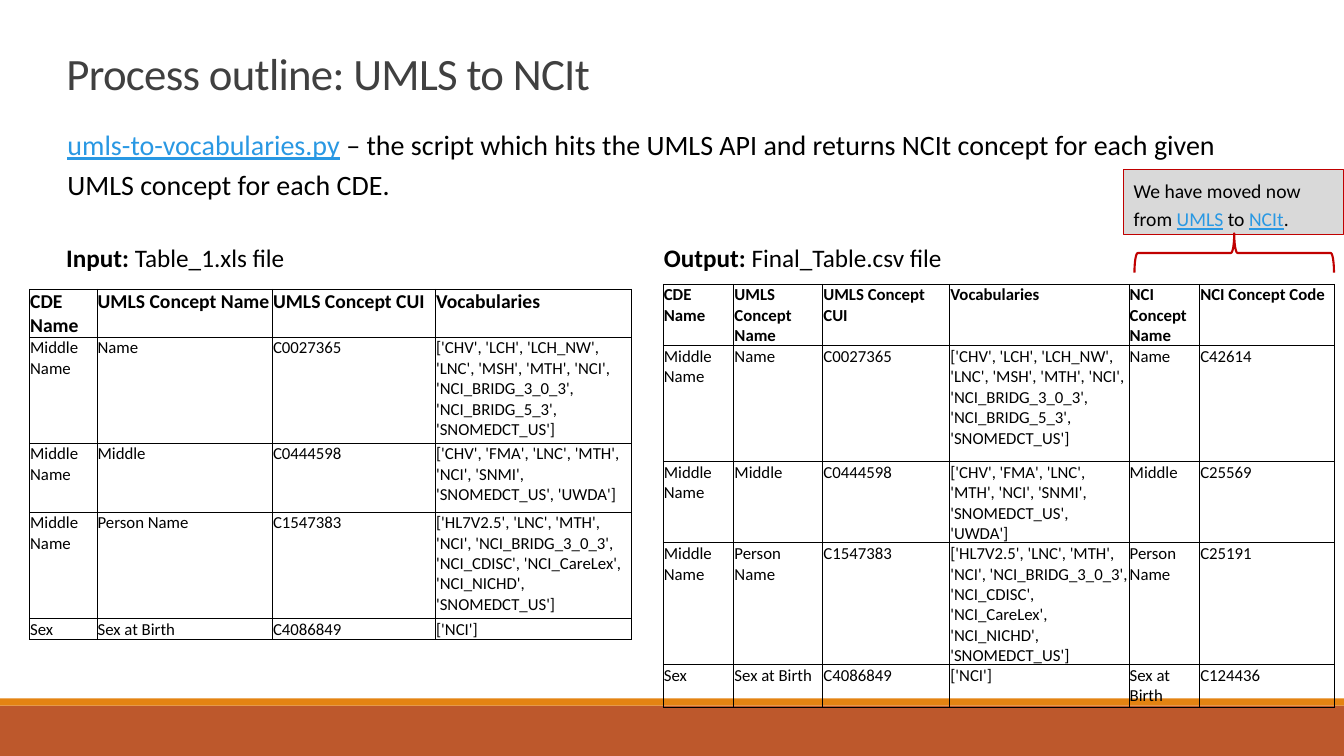
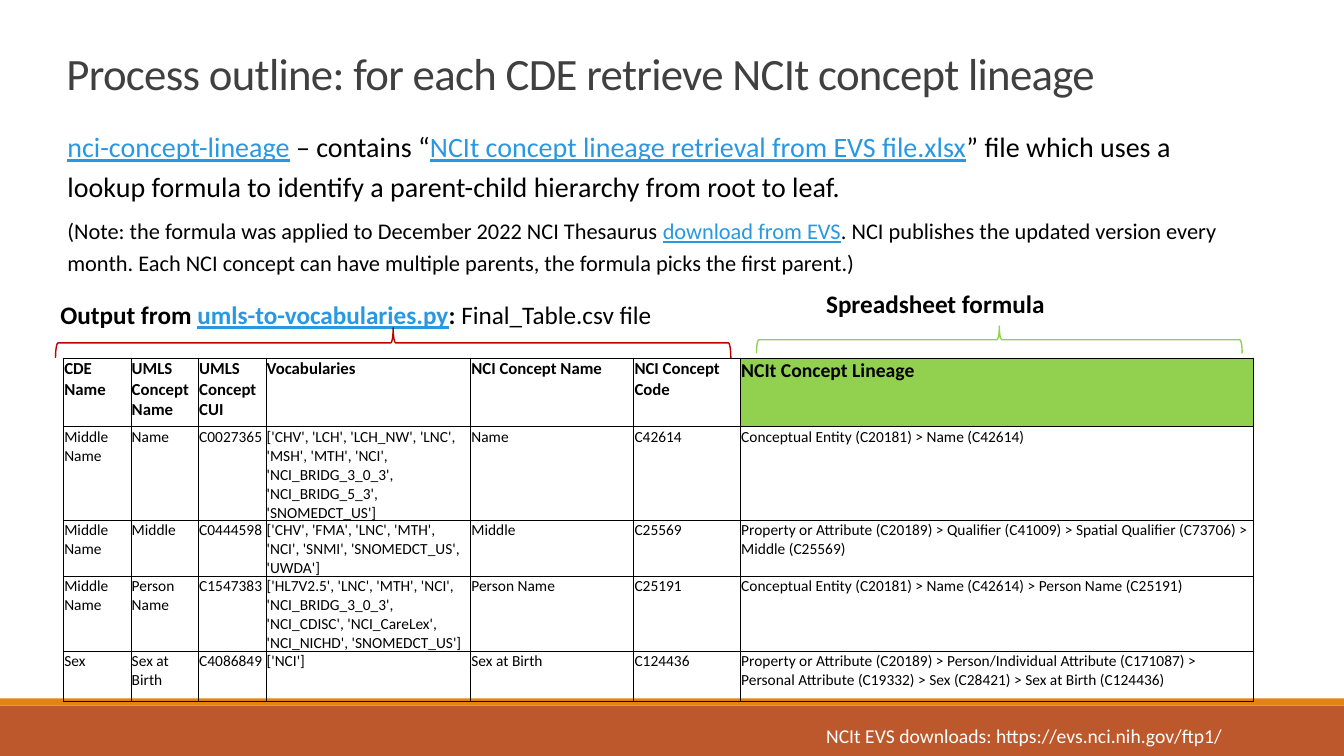
"""Build two slides on the way from UMLS concepts to NCIt concept lineage."""
from lxml.etree import SubElement
from pptx import Presentation
from pptx.dml.color import RGBColor as RGB
from pptx.enum.shapes import MSO_SHAPE as SHAPE
from pptx.enum.text import MSO_ANCHOR as ANCHOR, MSO_AUTO_SIZE as AUTO, PP_ALIGN as ALIGN
from pptx.oxml.ns import qn
from pptx.util import Cm, Pt

FONT = "Calibri"
HUE = {
    "text": "000000", "title": "404040", "link": "2998E3", "white": "FFFFFF",
    "band": "BD582C", "strip": "E48312", "red": "C00000", "green": "92D050", "grey": "D9D9D9",
}
HEADS = ["CDE Name", "UMLS Concept Name", "UMLS Concept CUI", "Vocabularies",
         "NCI Concept Name", "NCI Concept Code", "NCIt Concept Lineage"]
ROWS = [
    ["Middle Name", "Name", "C0027365",
     "['CHV', 'LCH', 'LCH_NW', 'LNC', 'MSH', 'MTH', 'NCI', 'NCI_BRIDG_3_0_3', 'NCI_BRIDG_5_3', 'SNOMEDCT_US']",
     "Name", "C42614", "Conceptual Entity (C20181) > Name (C42614)"],
    ["Middle Name", "Middle", "C0444598",
     "['CHV', 'FMA', 'LNC', 'MTH', 'NCI', 'SNMI', 'SNOMEDCT_US', 'UWDA']",
     "Middle", "C25569",
     "Property or Attribute (C20189) > Qualifier (C41009) > Spatial Qualifier (C73706) > Middle (C25569)"],
    ["Middle Name", "Person Name", "C1547383",
     "['HL7V2.5', 'LNC', 'MTH', 'NCI', 'NCI_BRIDG_3_0_3', 'NCI_CDISC', 'NCI_CareLex', 'NCI_NICHD', 'SNOMEDCT_US']",
     "Person Name", "C25191",
     "Conceptual Entity (C20181) > Name (C42614) > Person Name (C25191)"],
    ["Sex", "Sex at Birth", "C4086849", "['NCI']", "Sex at Birth", "C124436",
     "Property or Attribute (C20189) > Person/Individual Attribute (C171087) > "
     "Personal Attribute (C19332) > Sex (C28421) > Sex at Birth (C124436)"],
]


def note(slide, at, paras, hue="text", fill=None, lead=None, left=0.25):
    """Add a text box; each paragraph is a size and runs marked b (bold) or u (link)."""
    box = slide.shapes.add_textbox(*map(Cm, at))
    if fill:
        box.fill.solid()
        box.fill.fore_color.rgb = RGB.from_string(HUE[fill])
    frame = box.text_frame
    frame.word_wrap = True
    frame.margin_left = Cm(left)
    for i, (size, runs) in enumerate(paras):
        para = frame.add_paragraph() if i else frame.paragraphs[0]
        if lead:
            para.line_spacing, para.space_after = lead, Pt(6)
        for words, mark in runs:
            run = para.add_run()
            run.text = words
            font = run.font
            font.name, font.size, font.bold = FONT, Pt(size), "b" in mark
            font.underline = "u" in mark
            font.color.rgb = RGB.from_string(HUE["link" if "u" in mark else hue])
    return box


def grid(slide, left, top, wide, high, head, body):
    """Add a bordered table with as many of the shared columns as there are widths."""
    data = [HEADS] + ROWS
    table = slide.shapes.add_table(len(high), len(wide), Cm(left), Cm(top),
                                   Cm(sum(wide)), Cm(sum(high))).table
    table.first_row = table.horz_banding = False
    for col, width in zip(table.columns, wide):
        col.width = Cm(width)
    for r, height in enumerate(high):
        table.rows[r].height = Cm(height)
        for c in range(len(wide)):
            cell, last = table.cell(r, c), r == 0 and c == 6
            cell.margin_left = cell.margin_right = cell.margin_top = Cm(0.02)
            cell.margin_bottom = 0
            props = cell._tc.get_or_add_tcPr()
            for side in ("lnL", "lnR", "lnT", "lnB"):
                edge = SubElement(props, qn(f"a:{side}"), w=str(Pt(0.5)))
                SubElement(SubElement(edge, qn("a:solidFill")), qn("a:srgbClr"), val=HUE["text"])
            cell.fill.background()
            if last:
                cell.fill.solid()
                cell.fill.fore_color.rgb = RGB.from_string(HUE["green"])
            cell.text_frame.text = data[r][c]
            font = cell.text_frame.paragraphs[0].runs[0].font
            font.name, font.bold = FONT, r == 0
            font.size = Pt(14 if last else body if r else head)
            font.color.rgb = RGB.from_string(HUE["text"])


deck = Presentation()
deck.slide_width, deck.slide_height = Cm(33.87), Cm(19.05)
base = deck.slide_layouts[5]
slides = []
for words in ("Process outline: UMLS to NCIt",
              "Process outline: for each CDE retrieve NCIt concept lineage"):
    slide = deck.slides.add_slide(base)
    slides.append(slide)
    title = slide.shapes.title
    title.left, title.top, title.width, title.height = map(Cm, (1.42, 0.18, 29.57, 2.46))
    frame = title.text_frame
    frame.text = words
    frame.auto_size, frame.vertical_anchor = AUTO.NONE, ANCHOR.BOTTOM
    para = frame.paragraphs[0]
    para.alignment, para.line_spacing = ALIGN.LEFT, 0.85
    run = para.runs[0]
    run.font.name, run.font.size = FONT, Pt(32)
    run.font.color.rgb = RGB.from_string(HUE["title"])
    run._r.get_or_add_rPr().set("spc", "-50")
first, second = slides

for hue, top, height in (("band", 17.78, 1.27), ("strip", 17.6, 0.18)):
    bar = first.shapes.add_shape(SHAPE.RECTANGLE, 0, Cm(top), deck.slide_width, Cm(height))
    bar.shadow.inherit = False
    bar.fill.solid()
    bar.fill.fore_color.rgb = RGB.from_string(HUE[hue])
    bar.line.fill.background()
    base.placeholders[0].element.addprevious(bar.element)

note(first, (0.48, 2.92, 31.27, 2.24), [(20, [
    ("umls-to-vocabularies.py", "u"),
    (" – the script which hits the UMLS API and returns NCIt concept for each given "
     "UMLS concept for each CDE.", "")])], fill="white", lead=1.2, left=1.22)
moved = note(first, (28.32, 4.27, 5.55, 1.65), [(14, [
    ("We have moved now from ", ""), ("UMLS", "u"), (" to ", ""), ("NCIt", "u"), (".", "")])],
    fill="grey", lead=1.2)
moved.line.color.rgb = RGB.from_string(HUE["red"])
moved.line.width = Pt(0.75)
for left, label, name in ((1.42, "Input: ", "Table_1.xls file"),
                          (16.48, "Output: ", "Final_Table.csv file")):
    note(first, (left, 5.97, 14.3, 1.02), [(18, [(label, "b"), (name, "")])])
grid(first, 0.74, 7.29, [1.7, 4.42, 4.11, 4.95], [0.94, 2.67, 1.73, 2.69, 0.51], 14, 12)
grid(first, 16.71, 7.16, [1.78, 2.24, 3.2, 4.52, 1.78, 3.4], [0.69, 2.92, 1.88, 2.82, 1.07], 12, 12)

note(second, (0.48, 2.97, 31.14, 4.11), [
    (20, [("nci-concept-lineage", "u"), (" – contains “", ""),
          ("NCIt concept lineage retrieval from EVS file.xlsx", "u"),
          ("” file which uses a lookup formula to identify a parent-child hierarchy "
           "from root to leaf.", "")]),
    (16, [("(Note: the formula was applied to December 2022 NCI Thesaurus ", ""),
          ("download from EVS", "u"),
          (". NCI publishes the updated version every month. Each NCI concept can have "
           "multiple parents, the formula picks the first parent.)", "")]),
], fill="white", lead=1.2, left=1.22)
note(second, (20.57, 18.11, 12.6, 0.86),
     [(14, [("NCIt EVS downloads: https://evs.nci.nih.gov/ftp1/", "")])], hue="white")
grid(second, 1.6, 9.02, [1.7, 1.7, 1.7, 5.16, 4.11, 2.69, 12.93],
     [1.73, 1.88, 1.17, 1.65, 1.27], 12, 11)
note(second, (1.27, 7.42, 15.98, 1.02), [(18, [
    ("Output from ", "b"), ("umls-to-vocabularies.py", "bu"), (": ", "b"),
    ("Final_Table.csv file", "")])])
note(second, (20.57, 7.14, 7.01, 1.02), [(18, [("Spreadsheet formula", "b")])])

for slide, at, hue, width in ((first, (30.61, 3.86, 0.99, 5.03), "red", 1.5),
                              (second, (9.53, 0.13, 0.76, 17.02), "red", 1),
                              (second, (24.84, 2.44, 0.69, 12.24), "green", 1)):
    brace = slide.shapes.add_shape(SHAPE.RIGHT_BRACE, *map(Cm, at))
    brace.rotation = 270
    brace.shadow.inherit = False
    brace.fill.background()
    brace.line.color.rgb = RGB.from_string(HUE[hue])
    brace.line.width = Pt(width)

deck.save("out.pptx")
